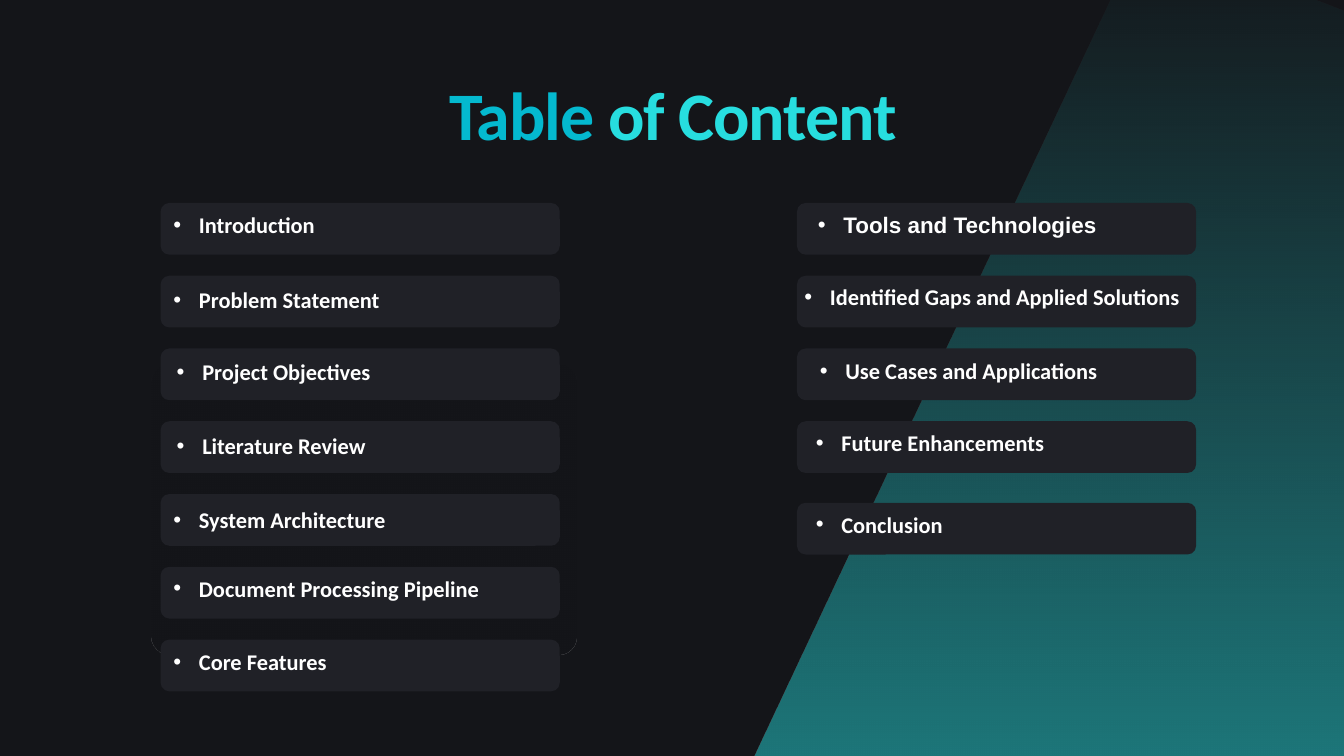
from lxml import etree
from pptx import Presentation
from pptx.dml.color import RGBColor
from pptx.enum.shapes import MSO_SHAPE
from pptx.enum.text import MSO_ANCHOR, MSO_AUTO_SIZE, PP_ALIGN
from pptx.oxml.ns import qn
from pptx.util import Inches, Pt

ROUNDED = MSO_SHAPE.ROUNDED_RECTANGLE
TOP = MSO_ANCHOR.TOP
GROW = MSO_AUTO_SIZE.SHAPE_TO_FIT_TEXT
CENTER = PP_ALIGN.CENTER

NIGHT = RGBColor(0x14, 0x15, 0x19)
CARD = RGBColor(0x20, 0x21, 0x27)
BLUE = RGBColor(0x04, 0xB9, 0xCF)
TEAL = RGBColor(0x27, 0xDD, 0xDF)
WHITE = RGBColor(0xFF, 0xFF, 0xFF)

SLIDE_WIDTH, SLIDE_HEIGHT = 20, 11.25
CARD_WIDTH, CARD_HEIGHT = 5.94, 0.77
FIRST_ROW, ROW_PITCH = 3.02, 1.083
TEXT_HEIGHT, BULLET_INDENT = 0.28, 0.38

TITLE = [("Table", BLUE), (" of Content", TEAL)]
TITLE_BOX = (6.01, 1.4, 8.01, 0.93)
BAND = [(9.17, 16.09), (16.65, -1.41), (34.93, 6.41), (27.45, 23.91)]
PANEL_BOX = (2.25, 5.41, 6.33, 4.33)

# label, row, text inset from the card's left and top, text width, font
COLUMNS = [
    (2.39, [
        ("Introduction", 0, 0.19, 0.28, 3.38, "Calibri"),
        ("Problem Statement", 1, 0.19, 0.31, 5.41, "Calibri"),
        ("Project Objectives", 2, 0.24, 0.3, 3.38, "Calibri"),
        ("Literature Review", 3, 0.24, 0.31, 3.38, "Calibri"),
        ("System Architecture", 4, 0.19, 0.33, 3.38, "Calibri"),
        ("Document Processing Pipeline", 5, 0.19, 0.27, 7.37, "Calibri"),
        ("Core Features", 6, 0.19, 0.28, 5.08, "Calibri"),
    ]),
    (11.86, [
        ("Tools and Technologies", 0, 0.31, 0.28, 6.41, "Arial"),
        ("Identified Gaps and Applied Solutions", 1, 0.11, 0.26, 6.15, "Calibri"),
        ("Use Cases and Applications", 2, 0.34, 0.28, 6.12, "Calibri"),
        ("Future Enhancements", 3, 0.28, 0.27, 5.08, "Calibri"),
        ("Conclusion", 4.12, 0.28, 0.27, 4.32, "Calibri"),
    ]),
]

FRAME_FORMAT = {
    "margin_left": 0, "margin_right": 0, "margin_top": 0, "margin_bottom": 0,
    "word_wrap": True, "vertical_anchor": TOP, "auto_size": GROW,
}


def apply(target, values):
    for name, value in values.items():
        setattr(target, name, value)


def add_run(paragraph, text, color, size, font):
    run = paragraph.add_run()
    run.text = text
    apply(run.font, {"name": font, "size": Pt(size), "bold": True})
    run.font.color.rgb = color
    return run


def make_plain(shape):
    shape.shadow.inherit = False
    shape.line.fill.background()


def fade_in(shape, color, opacity):
    make_plain(shape)
    shape.fill.gradient()
    shape.fill.gradient_angle = 270
    for stop, position in zip(shape.fill.gradient_stops, (0, 1)):
        stop.color.rgb = color
        stop.position = position
    colors = shape._element.spPr.iter(qn("a:srgbClr"))
    for element, share in zip(colors, (0, opacity)):
        etree.SubElement(element, qn("a:alpha"), val=str(share * 1000))


def add_rounded(slide, box, radius):
    shape = slide.shapes.add_shape(ROUNDED, *map(Inches, box))
    shape.adjustments[0] = radius / box[3]
    return shape


def add_band(slide):
    builder = slide.shapes.build_freeform(*BAND[0], scale=Inches(1))
    builder.add_line_segments(BAND[1:], close=True)
    fade_in(builder.convert_to_shape(), TEAL, 100)


def add_title(slide):
    title = slide.shapes.title
    apply(title, dict(zip(("left", "top", "width", "height"), map(Inches, TITLE_BOX))))
    apply(title.text_frame, FRAME_FORMAT)
    paragraph = title.text_frame.paragraphs[0]
    apply(paragraph, {"alignment": CENTER, "line_spacing": Pt(64.1)})
    for text, color in TITLE:
        run = add_run(paragraph, text, color, 72.8, "Calibri")
        run.font._element.set("spc", "-120")


def add_entry(slide, box, label, font):
    frame = slide.shapes.add_textbox(*map(Inches, box)).text_frame
    apply(frame, FRAME_FORMAT)
    paragraph = frame.paragraphs[0]
    properties = paragraph._p.get_or_add_pPr()
    properties.set("marL", str(Inches(BULLET_INDENT)))
    properties.set("indent", str(-Inches(BULLET_INDENT)))
    etree.SubElement(properties, qn("a:buFont"), typeface="Arial")
    etree.SubElement(properties, qn("a:buChar"), char="•")
    paragraph.line_spacing = Pt(17.9)
    add_run(paragraph, label, WHITE, 24, font)


def main():
    presentation = Presentation()
    presentation.slide_width = Inches(SLIDE_WIDTH)
    presentation.slide_height = Inches(SLIDE_HEIGHT)
    slide = presentation.slides.add_slide(presentation.slide_layouts[5])
    slide.background.fill.solid()
    slide.background.fill.fore_color.rgb = NIGHT

    add_band(slide)
    fade_in(add_rounded(slide, PANEL_BOX, 0.28), NIGHT, 57)
    add_title(slide)
    for left, entries in COLUMNS:
        for label, row, inset_left, inset_top, width, font in entries:
            top = FIRST_ROW + row * ROW_PITCH
            card = add_rounded(slide, (left, top, CARD_WIDTH, CARD_HEIGHT), 0.13)
            make_plain(card)
            card.fill.solid()
            card.fill.fore_color.rgb = CARD
            box = (left + inset_left, top + inset_top, width, TEXT_HEIGHT)
            add_entry(slide, box, label, font)
    presentation.save("out.pptx")


if __name__ == "__main__":
    main()
